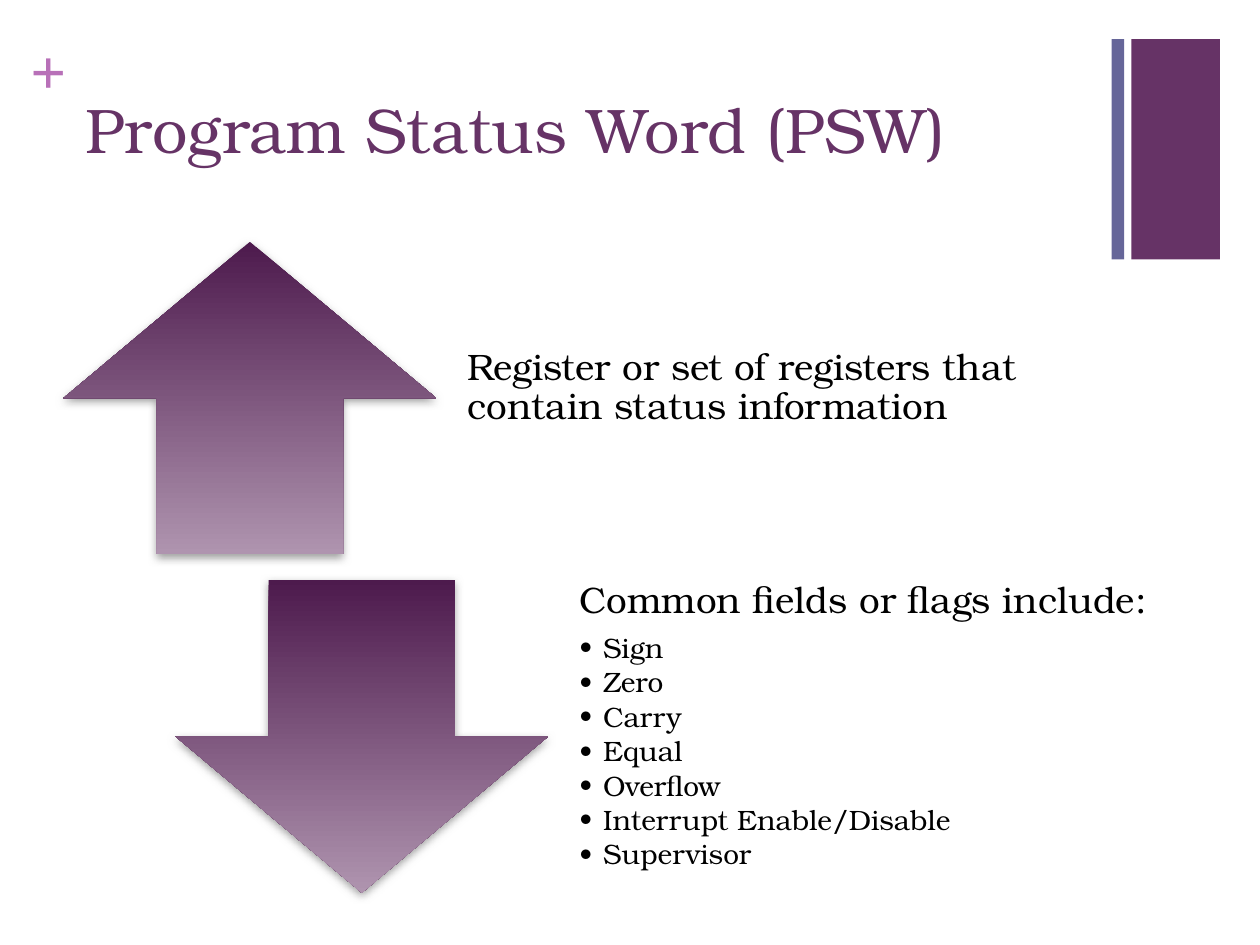
from lxml.etree import SubElement
from pptx import Presentation
from pptx.dml.color import RGBColor
from pptx.enum.shapes import MSO_SHAPE as Shape
from pptx.enum.text import MSO_ANCHOR as Anchor, MSO_AUTO_SIZE as AutoSize, PP_ALIGN as Align
from pptx.oxml.ns import qn
from pptx.util import Pt

FLAGS = ["Sign", "Zero", "Carry", "Equal", "Overflow", "Interrupt Enable/Disable", "Supervisor"]


def color(value):
    return RGBColor.from_string(value)


def assign(target, values):
    for name, value in values.items():
        setattr(target, name, value)


def place(item, bounds):
    assign(item, dict(zip(("left", "top", "width", "height"), map(Pt, bounds))))


class StatusWordSlide:
    """Holds the purple style and the slide being built."""

    font, purple, blue, orchid = "TeX Gyre Bonum", "663366", "666699", "B870B8"
    gradient = ("4D1A4D", "AF94AF")

    def __init__(self, deck):
        self.page = deck.slides.add_slide(deck.slide_layouts[3])

    def frame(self, box, margins, anchor, wrap=True):
        frame = box.text_frame
        names = ("margin_left", "margin_top", "margin_right", "margin_bottom")
        assign(frame, dict(zip(names, map(Pt, margins))))
        assign(frame, {"word_wrap": wrap, "auto_size": AutoSize.NONE, "vertical_anchor": anchor})
        return frame

    def span(self, para, text, size, fill, font=None, bold=False):
        span = para.add_run()
        span.text = text
        assign(span.font, {"name": font or self.font, "size": Pt(size), "bold": bold})
        span.font.color.rgb = color(fill)

    def bar(self, bounds, fill):
        box = self.page.shapes.add_shape(Shape.RECTANGLE, *map(Pt, bounds))
        box.shadow.inherit = False
        box.fill.solid()
        box.fill.fore_color.rgb = color(fill)
        box.line.fill.background()

    def plus(self, bounds):
        box = self.page.shapes.add_textbox(*map(Pt, bounds))
        frame = self.frame(box, (0, 0, 0, 0), Anchor.TOP, wrap=False)
        self.span(frame.paragraphs[0], "+", 36, self.orchid, "Times New Roman", True)

    def title(self, bounds, text):
        box = self.page.shapes.title
        place(box, bounds)
        para = self.frame(box, (7.2, 3.6, 7.2, 3.6), Anchor.TOP).paragraphs[0]
        para.alignment = Align.LEFT
        self.span(para, text, 36, self.purple)

    def arrow(self, kind, bounds):
        box = self.page.shapes.add_shape(kind, *map(Pt, bounds))
        box.line.fill.background()
        box.fill.gradient()
        box.fill.gradient_angle = 270
        for stop, shade, position in zip(box.fill.gradient_stops, self.gradient, (0, 1)):
            stop.color.rgb = color(shade)
            stop.position = position
        box.shadow.inherit = False
        effects = box._element.spPr.find(qn("a:effectLst"))
        shadow = SubElement(effects, qn("a:outerShdw"), blurRad=str(Pt(5)), dist=str(Pt(2)),
                            dir="5400000", rotWithShape="0")
        tone = SubElement(shadow, qn("a:srgbClr"), val="808080")
        SubElement(tone, qn("a:alpha"), val="75000")

    def body(self, index, bounds, heading, items=()):
        box = self.page.placeholders[index]
        place(box, bounds)
        frame = self.frame(box, (11.5, 0, 11.5, 11.5), Anchor.MIDDLE)
        for row, text in enumerate((heading, *items)):
            para = frame.add_paragraph() if row else frame.paragraphs[0]
            size, after, level, indent = (16, 2.4, 1, 13.5) if row else (21, 7.35, 0, 0)
            assign(para, {"level": level, "line_spacing": 0.9, "space_before": Pt(0),
                          "space_after": Pt(after), "alignment": Align.LEFT})
            self.span(para, text, size, "000000")
            props = para._p.get_or_add_pPr()
            props.set("marL", str(Pt(indent)))
            props.set("indent", str(Pt(-indent)))
            if row:
                SubElement(props, qn("a:buFont"), typeface=self.font)
                SubElement(props, qn("a:buChar"), char="•")
            else:
                SubElement(props, qn("a:buNone"))


def main():
    deck = Presentation()
    assign(deck, {"slide_width": Pt(720), "slide_height": Pt(540)})
    slide = StatusWordSlide(deck)
    slide.bar((646.5, 22.3, 50.6, 126), slide.purple)
    slide.bar((635.2, 22.3, 7.2, 126), slide.blue)
    slide.plus((17.3, 18, 20.9, 43.9))
    slide.title((41.8, 48.2, 594.7, 87.8), "Program Status Word (PSW)")
    rows = [
        (Shape.UP_ARROW, "Register or set of registers that contain status information", ()),
        (Shape.DOWN_ARROW, "Common fields or flags include:", FLAGS),
    ]
    for row, (kind, heading, items) in enumerate(rows):
        left, top = 36.3 + 64 * row, 138.2 + 193.3 * row
        slide.arrow(kind, (left, top, 213, 178.6))
        slide.body(row + 1, (left + 219.3, top, 360.7, 178.6), heading, items)
    deck.save("out.pptx")


if __name__ == "__main__":
    main()
